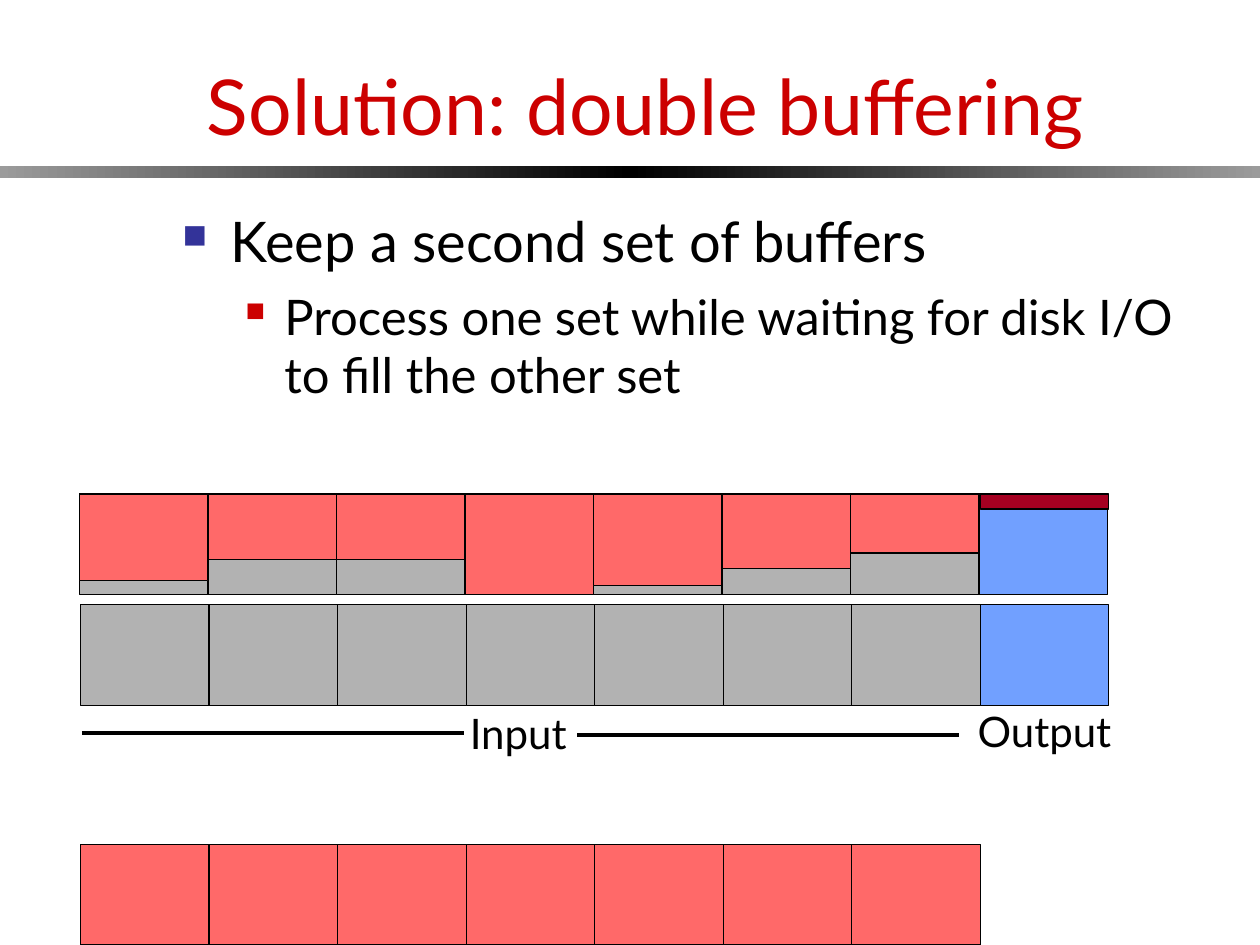
from lxml.etree import SubElement
from pptx import Presentation
from pptx.dml.color import RGBColor
from pptx.enum.shapes import MSO_CONNECTOR as CONNECTOR, MSO_SHAPE as SHAPE
from pptx.enum.text import MSO_ANCHOR as ANCHOR, MSO_AUTO_SIZE as AUTO_SIZE, PP_ALIGN as ALIGN
from pptx.oxml.ns import qn
from pptx.util import Inches, Pt

FONT = "Lato"
COLORS = {
    "title": "CC0000",
    "text": "000000",
    "bullet": "333399",
    "sub_bullet": "CC0000",
    "rule_edge": "9B9B9B",
    "rule_center": "000000",
    "empty": "B2B2B2",
    "filled": "FF6969",
    "output": "71A0FF",
    "output_filled": "A50021",
    "line": "000000",
}
CELL_WIDTH, CELL_HEIGHT = 1.02, 0.8
INPUT_COUNT = 7
INPUT_LEVELS = [0.69, 0.52, 0.52, 0.8, 0.73, 0.59, 0.47]
OUTPUT_LEVEL = 0.12


def color(name):
    return RGBColor.from_string(COLORS[name])


def format_runs(paragraph, size, color_name):
    for run in paragraph.runs:
        run.font.name = FONT
        run.font.size = Pt(size)
        run.font.color.rgb = color(color_name)


def add_title(slide, left, top, width, height):
    title = slide.shapes.title
    title.left, title.top = Inches(left), Inches(top)
    title.width, title.height = Inches(width), Inches(height)
    text_frame = title.text_frame
    text_frame.text = "Solution: double buffering"
    text_frame.auto_size = AUTO_SIZE.NONE
    text_frame.vertical_anchor = ANCHOR.BOTTOM
    paragraph = text_frame.paragraphs[0]
    paragraph.alignment = ALIGN.CENTER
    format_runs(paragraph, 44, "title")


def add_title_rule(slide, left, top, width, height):
    half = width / 2
    halves = [("rule_edge", "rule_center"), ("rule_center", "rule_edge")]
    for index, stop_colors in enumerate(halves):
        shape = slide.shapes.add_shape(
            SHAPE.RECTANGLE, Inches(left + index * half), Inches(top), Inches(half), Inches(height))
        shape.shadow.inherit = False
        shape.line.fill.background()
        shape.fill.gradient()
        shape.fill.gradient_angle = 0
        for stop, name in zip(shape.fill.gradient_stops, stop_colors):
            stop.color.rgb = color(name)


def set_bullet(paragraph, margin, indent, color_name, percent):
    properties = paragraph._p.get_or_add_pPr()
    properties.set("marL", str(Inches(margin)))
    properties.set("indent", str(Inches(indent)))
    bullet_color = SubElement(properties, qn("a:buClr"))
    SubElement(bullet_color, qn("a:srgbClr"), val=COLORS[color_name])
    SubElement(properties, qn("a:buSzPct"), val=str(percent * 1000))
    SubElement(properties, qn("a:buChar"), char="■")


def add_bullets(slide, left, top, width, height):
    box = slide.shapes.add_textbox(Inches(left), Inches(top), Inches(width), Inches(height))
    text_frame = box.text_frame
    text_frame.word_wrap = True
    items = [
        ("Keep a second set of buffers", 32, 8, (0.38, -0.38, "bullet", 60)),
        ("Process one set while waiting for disk I/O to fill the other set", 28, 7,
         (0.81, -0.31, "sub_bullet", 55)),
    ]
    for level, (text, size, space, bullet) in enumerate(items):
        paragraph = text_frame.add_paragraph() if level else text_frame.paragraphs[0]
        paragraph.text = text
        paragraph.level = level
        paragraph.space_before = Pt(space)
        set_bullet(paragraph, *bullet)
        format_runs(paragraph, size, "text")


def add_cell(slide, left, top, height, color_name):
    shape = slide.shapes.add_shape(
        SHAPE.RECTANGLE, Inches(left), Inches(top), Inches(CELL_WIDTH), Inches(height))
    shape.shadow.inherit = False
    shape.fill.solid()
    shape.fill.fore_color.rgb = color(color_name)
    shape.line.color.rgb = color("line")
    shape.line.width = Pt(0.75)


def add_buffer_row(slide, left, top, color_names):
    for index, name in enumerate(color_names):
        add_cell(slide, left + index * CELL_WIDTH, top, CELL_HEIGHT, name)


def add_levels(slide, left, top):
    for index, level in enumerate(INPUT_LEVELS):
        add_cell(slide, left + index * CELL_WIDTH, top, level, "filled")
    add_cell(slide, left + INPUT_COUNT * CELL_WIDTH + 0.01, top, OUTPUT_LEVEL, "output_filled")


def add_label(slide, text, left, top, width, height):
    box = slide.shapes.add_textbox(Inches(left), Inches(top), Inches(width), Inches(height))
    box.text_frame.word_wrap = False
    box.text_frame.auto_size = AUTO_SIZE.SHAPE_TO_FIT_TEXT
    box.text_frame.text = text
    format_runs(box.text_frame.paragraphs[0], 24, "text")


def add_label_line(slide, left, top, width):
    line = slide.shapes.add_connector(
        CONNECTOR.STRAIGHT, Inches(left), Inches(top), Inches(left + width), Inches(top))
    line.line.color.rgb = color("line")
    line.line.width = Pt(2.25)
    SubElement(line._element.spPr, qn("a:effectLst"))


def add_labels(slide, left, top):
    add_label(slide, "Input", left + 2.98, top + 0.02, 1.05, 0.5)
    add_label_line(slide, left, top + 0.27, 3.03)
    add_label_line(slide, left + 3.93, top + 0.28, 3.03)
    add_label(slide, "Output", left + 7.01, top, 1.32, 0.5)


def main():
    presentation = Presentation()
    presentation.slide_width, presentation.slide_height = Inches(10), Inches(7.5)
    slide = presentation.slides.add_slide(presentation.slide_layouts[5])
    add_title_rule(slide, 0, 1.32, 10, 0.09)
    add_title(slide, 0.55, 0, 9.15, 1.25)
    add_bullets(slide, 1.35, 1.59, 8.5, 1.75)
    buffers = ["empty"] * INPUT_COUNT + ["output"]
    add_buffer_row(slide, 0.63, 3.92, buffers)
    add_levels(slide, 0.63, 3.92)
    add_buffer_row(slide, 0.64, 4.8, buffers)
    add_labels(slide, 0.65, 5.55)
    add_buffer_row(slide, 0.64, 6.7, ["filled"] * INPUT_COUNT)
    presentation.save("out.pptx")


if __name__ == "__main__":
    main()
